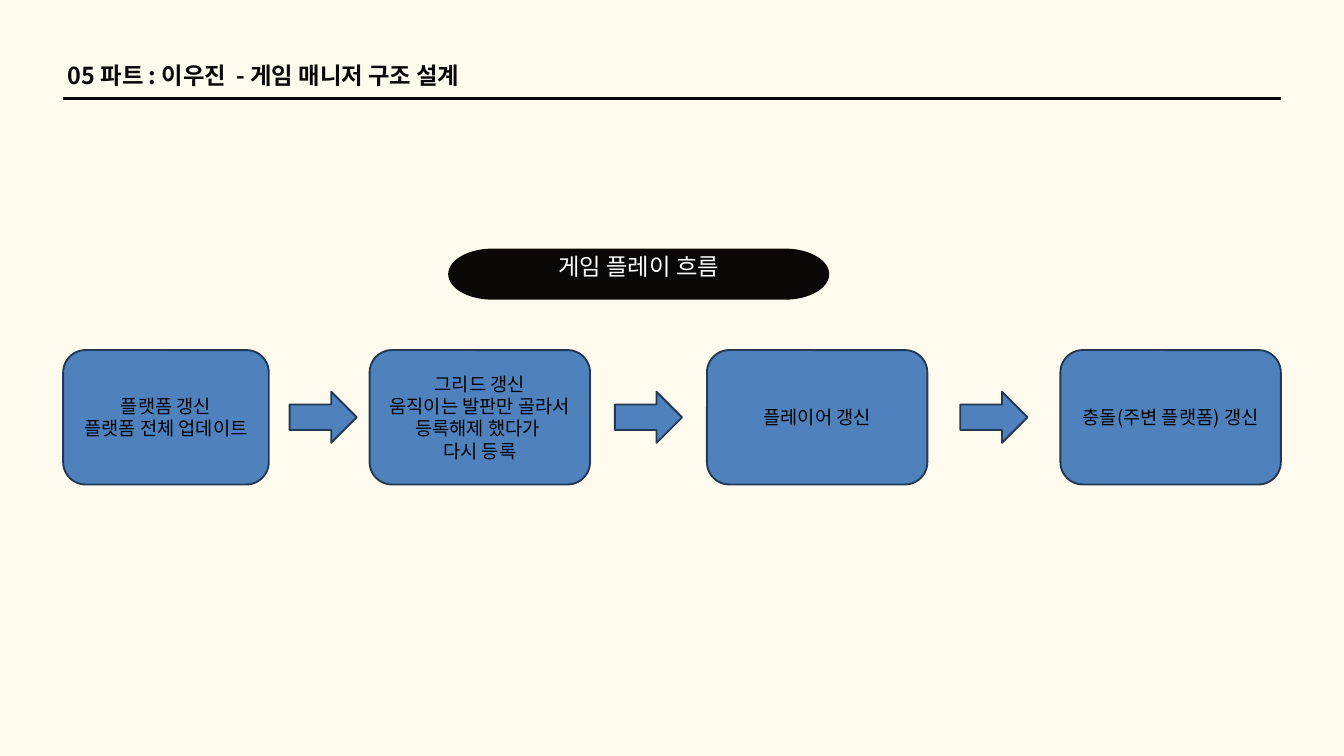
import math

from lxml import etree
from pptx import Presentation
from pptx import util as u
from pptx.dml.color import RGBColor
from pptx.enum import shapes, text
from pptx.oxml import ns

CREAM = RGBColor(0xFE, 0xFB, 0xEE)
INK = RGBColor(0x09, 0x08, 0x07)
BLUE = RGBColor(0x4F, 0x81, 0xBD)
NAVY = RGBColor(0x23, 0x39, 0x53)
BLACK = RGBColor(0, 0, 0)
WHITE = RGBColor(0xFF, 0xFF, 0xFF)
FONT = "Noto Sans CJK SC"
COLUMNS, ROWS = 20, 11.25
MARGIN = 0.94
BOX_TOP, BOX_HEIGHT = 5.21, 2
ARROW_WIDTH, ARROW_HEIGHT = 1, 0.76

# left, width, lines
STEPS = [
    (MARGIN, 3.06, ["플랫폼 갱신", "플랫폼 전체 업데이트"]),
    (5.5, 3.28, ["그리드 갱신", "움직이는 발판만 골라서 등록해제 했다가 ", "다시 등록"]),
    (10.52, 3.28, ["플레이어 갱신"]),
    (15.78, 3.28, ["충돌(주변 플랫폼) 갱신"]),
]
ARROW_LEFTS = [4.31, 9.15, 14.29]


class FlowSlide:
    """Draws on one slide; lengths are columns and rows of a 20 x 11.25 grid."""

    def __init__(self, prs):
        self.column = prs.slide_width / COLUMNS
        self.row = prs.slide_height / ROWS
        self.slide = prs.slides.add_slide(prs.slide_layouts[5])
        self.slide.background.fill.solid()
        self.slide.background.fill.fore_color.rgb = CREAM

    def x(self, columns):
        return u.Emu(round(columns * self.column))

    def y(self, rows):
        return u.Emu(round(rows * self.row))

    def set_text(self, sp, lines, size, color, align=text.PP_ALIGN.CENTER, bold=False):
        tf = sp.text_frame
        tf.text = "\n".join(lines)
        for p in tf.paragraphs:
            p.alignment = align
            p.font.size = u.Pt(size)
            p.font.bold = bold
            p.font.color.rgb = color
            p.font.name = FONT
            props = p._p.pPr.find(ns.qn("a:defRPr"))
            etree.SubElement(props, ns.qn("a:ea"), typeface=FONT)
        return tf

    def title(self, wording, left, top, width, height):
        sp = self.slide.shapes.title
        sp.left, sp.top = self.x(left), self.y(top)
        sp.width, sp.height = self.x(width), self.y(height)
        tf = self.set_text(sp, [wording], 25, INK, text.PP_ALIGN.LEFT, bold=True)
        tf.margin_left = tf.margin_right = tf.margin_top = tf.margin_bottom = 0
        tf.vertical_anchor = text.MSO_ANCHOR.TOP
        tf.auto_size = text.MSO_AUTO_SIZE.NONE
        tf.word_wrap = False
        tf.paragraphs[0].line_spacing = u.Pt(35)

    def rule(self, top):
        line = self.slide.shapes.add_connector(
            shapes.MSO_CONNECTOR.STRAIGHT,
            self.x(MARGIN), self.y(top), self.x(COLUMNS - MARGIN), self.y(top))
        line.line.color.rgb = INK
        line.line.width = u.Pt(3)
        etree.SubElement(line._element.spPr, ns.qn("a:effectLst"))

    def block(self, kind, left, top, width, height):
        sp = self.slide.shapes.add_shape(
            kind, self.x(left), self.y(top), self.x(width), self.y(height))
        sp.shadow.inherit = False
        sp.fill.solid()
        sp.fill.fore_color.rgb = BLUE
        sp.line.color.rgb = NAVY
        sp.line.width = u.Pt(2)
        return sp

    def step(self, left, width, lines):
        sp = self.block(shapes.MSO_SHAPE.ROUNDED_RECTANGLE, left, BOX_TOP, width, BOX_HEIGHT)
        tf = self.set_text(sp, lines, 20, BLACK)
        tf.vertical_anchor = text.MSO_ANCHOR.MIDDLE
        tf.word_wrap = True

    def arrow(self, left):
        top = BOX_TOP + (BOX_HEIGHT - ARROW_HEIGHT) / 2
        self.block(shapes.MSO_SHAPE.RIGHT_ARROW, left, top, ARROW_WIDTH, ARROW_HEIGHT)

    def pill(self, wording, left, top, width, height, cap):
        """A bar whose two ends are half ellipses, each cap columns wide."""
        middle = top + height / 2
        points = []
        for center, start in ((left + width - cap, -90), (left + cap, 90)):
            for degrees in range(start, start + 181, 5):
                angle = math.radians(degrees)
                points.append((self.x(center + cap * math.cos(angle)),
                               self.y(middle + height / 2 * math.sin(angle))))
        builder = self.slide.shapes.build_freeform(*points[0])
        builder.add_line_segments(points[1:], close=True)
        sp = builder.convert_to_shape()
        sp.shadow.inherit = False
        sp.fill.solid()
        sp.fill.fore_color.rgb = INK
        sp.line.fill.background()
        tf = self.set_text(sp, [wording], 25, WHITE)
        tf.vertical_anchor = text.MSO_ANCHOR.TOP
        tf.word_wrap = True


def main():
    prs = Presentation()
    prs.slide_width, prs.slide_height = u.Inches(COLUMNS), u.Inches(ROWS)
    s = FlowSlide(prs)
    s.title("05 파트 : 이우진  - 게임 매니저 구조 설계", 1.01, 0.84, 6.6, 0.46)
    s.rule(1.47)
    s.pill("게임 플레이 흐름", 6.67, 3.7, 5.67, 0.76, cap=0.66)
    for left, width, lines in STEPS:
        s.step(left, width, lines)
    for left in ARROW_LEFTS:
        s.arrow(left)
    prs.save("out.pptx")


if __name__ == "__main__":
    main()
